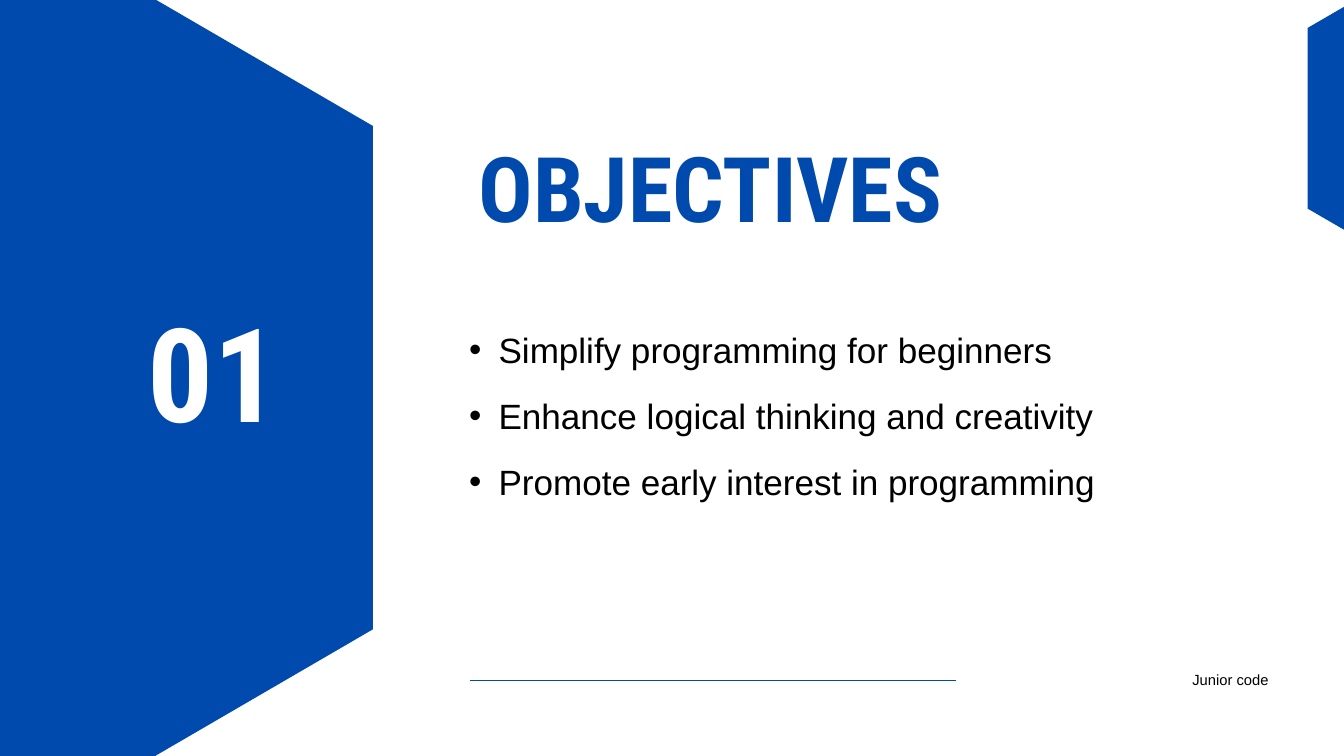
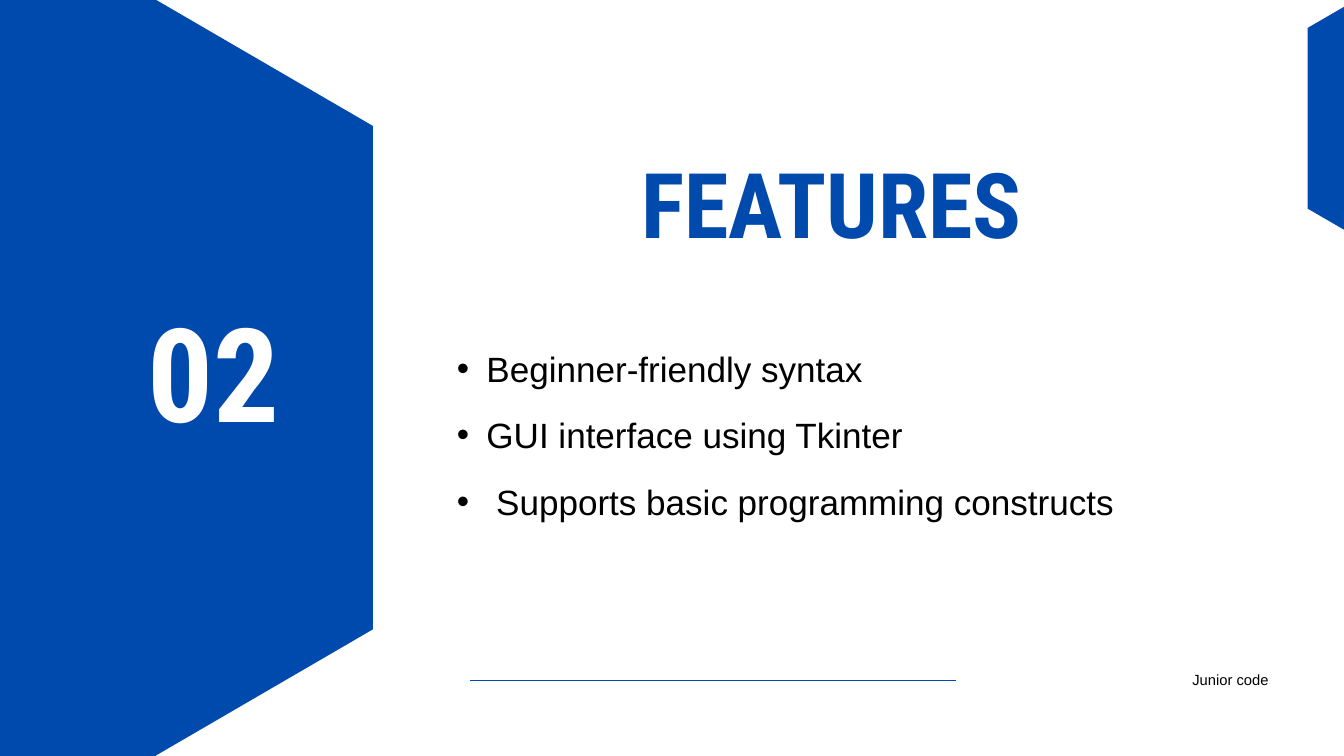
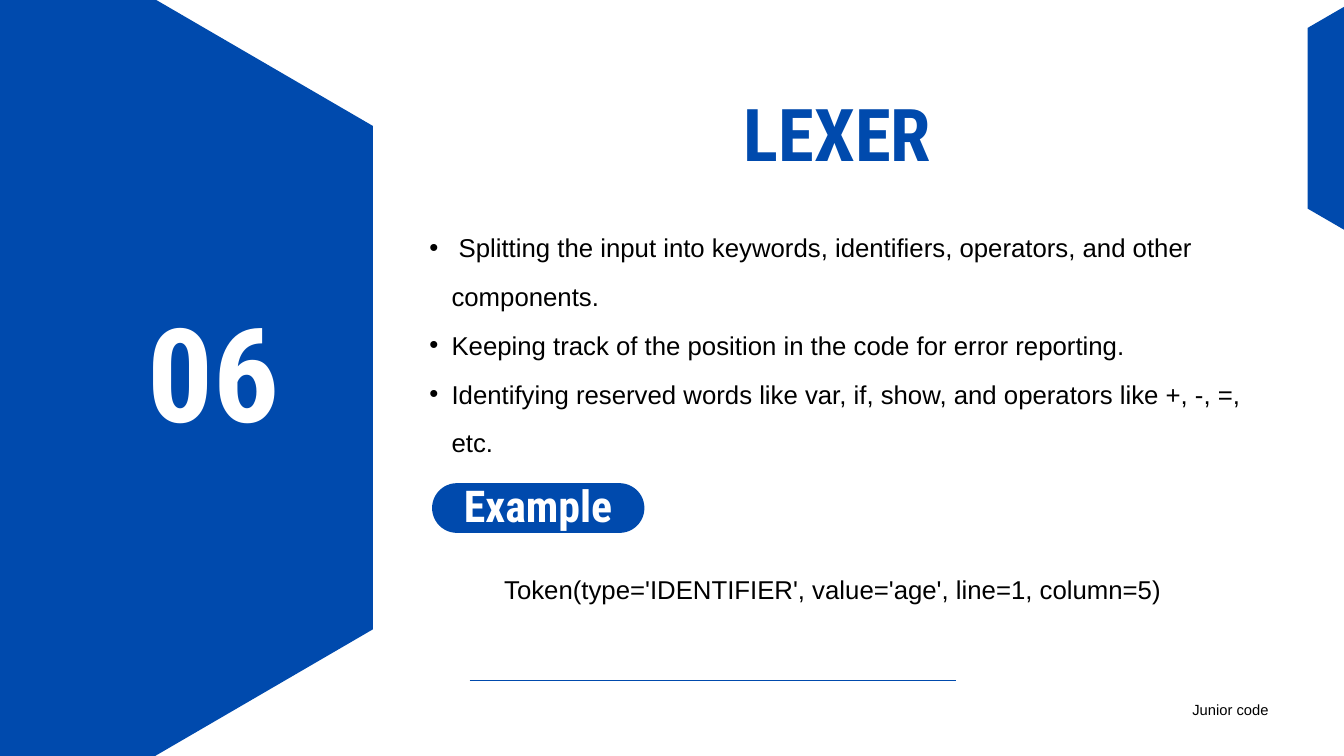
from lxml import etree
from pptx import Presentation
from pptx.dml.color import RGBColor
from pptx.enum.shapes import MSO_CONNECTOR, MSO_SHAPE
from pptx.enum.text import MSO_ANCHOR, MSO_AUTO_SIZE, PP_ALIGN
from pptx.oxml.ns import qn
from pptx.util import Inches, Pt

BLUE = RGBColor(0x00, 0x4A, 0xAD)
WHITE = RGBColor(0xFF, 0xFF, 0xFF)
BLACK = RGBColor(0x00, 0x00, 0x00)
HEADING_FONT = "Roboto Condensed"
BODY_FONT = "Arial"

# Centre x, centre y, half width, half height
HEXAGONS = [(-0.89, 5.62, 6.44, 7.49), (21.78, 1.76, 2.32, 2.69)]

SECTIONS = [
    dict(number="01", title="OBJECTIVES", title_box=(7.12, 2.23, 10.77, 1.41),
         title_size=97, title_leading=97, title_align=PP_ALIGN.LEFT,
         points=["Simplify programming for beginners",
                 "Enhance logical thinking and creativity",
                 "Promote early interest in programming"],
         points_box=(6.54, 4.52, 10.97, 2.86), size=37.6, leading=71.1,
         indent=0.44, footer_top=9.94),
    dict(number="02", title="FEATURES", title_box=(6.99, 2.47, 10.77, 1.42),
         title_size=97, title_leading=97, title_align=PP_ALIGN.CENTER,
         points=["Beginner-friendly syntax",
                 "GUI interface using Tkinter",
                 " Supports basic programming constructs"],
         points_box=(6.36, 4.81, 10.97, 2.86), size=37.6, leading=71.1,
         indent=0.44, footer_top=9.94),
    dict(number="06", title="LEXER", title_box=(6.06, 1.42, 12.81, 1.23),
         title_size=78, title_leading=86.6, title_align=PP_ALIGN.CENTER,
         points=[" Splitting the input into keywords, identifiers, operators, "
                 "and other components.",
                 "Keeping track of the position in the code for error reporting.",
                 "Identifying reserved words like var, if, show, and operators "
                 "like +, -, =, etc."],
         points_box=(6.06, 3.19, 12.66, 3.63), size=27.6, leading=52.2,
         indent=0.33, footer_top=10.39,
         example="Token(type='IDENTIFIER', value='age', line=1, column=5)"),
]


def write(shape, text, *, size, leading, font=BODY_FONT, color=BLACK,
          bold=False, align=PP_ALIGN.LEFT, indent=None):
    """Fill a shape with one paragraph per line; an indent adds bullets."""
    frame = shape.text_frame
    frame.word_wrap = True
    frame.auto_size = MSO_AUTO_SIZE.NONE
    frame.vertical_anchor = MSO_ANCHOR.TOP
    frame.margin_left = frame.margin_right = 0
    frame.margin_top = frame.margin_bottom = 0
    frame.text = text
    for paragraph in frame.paragraphs:
        paragraph.alignment = align
        paragraph.line_spacing = Pt(leading)
        for run in paragraph.runs:
            run.font.name = font
            run.font.size = Pt(size)
            run.font.bold = bold
            run.font.color.rgb = color
        if indent:
            properties = paragraph._p.get_or_add_pPr()
            properties.set("marL", str(Inches(2 * indent)))
            properties.set("indent", str(-Inches(indent)))
            etree.SubElement(properties, qn("a:buFont"), typeface="Arial")
            etree.SubElement(properties, qn("a:buChar"), char="•")


def paint(shape):
    """Give a shape the plain blue look."""
    shape.shadow.inherit = False
    shape.fill.solid()
    shape.fill.fore_color.rgb = BLUE
    shape.line.fill.background()


deck = Presentation()
deck.slide_width = Inches(20)
deck.slide_height = Inches(11.25)

for section in SECTIONS:
    slide = deck.slides.add_slide(deck.slide_layouts[5])
    shapes = slide.shapes

    # Hexagons cut off by the slide edges
    for cx, cy, half_width, half_height in HEXAGONS:
        corners = [(Inches(cx + dx * half_width), Inches(cy + dy * half_height))
                   for dx, dy in [(0, -1), (1, -0.5), (1, 0.5),
                                  (0, 1), (-1, 0.5), (-1, -0.5)]]
        builder = shapes.build_freeform(*corners[0])
        builder.add_line_segments(corners[1:], close=True)
        paint(builder.convert_to_shape())

    # Title and section number
    title = shapes.title
    title.left, title.top, title.width, title.height = map(Inches, section["title_box"])
    write(title, section["title"], size=section["title_size"],
          leading=section["title_leading"], font=HEADING_FONT, color=BLUE,
          bold=True, align=section["title_align"])
    number = shapes.add_textbox(Inches(2.19), Inches(4.73), Inches(2.36), Inches(2.06))
    write(number, section["number"], size=140, leading=140,
          font=HEADING_FONT, color=WHITE, bold=True)

    # Bullet points
    points = shapes.add_textbox(*map(Inches, section["points_box"]))
    write(points, "\n".join(section["points"]), size=section["size"],
          leading=section["leading"], indent=section["indent"])

    # Example label and code; the label text needs the pill's full height
    if "example" in section:
        pill = shapes.add_shape(MSO_SHAPE.ROUNDED_RECTANGLE, Inches(6.43),
                                Inches(7.19), Inches(3.16), Inches(0.74))
        pill.adjustments[0] = 0.5
        paint(pill)
        label = shapes.add_textbox(pill.left, Inches(7.18), pill.width, Inches(0.75))
        write(label, "Example", size=47, leading=52.2, font=HEADING_FONT,
              color=WHITE, bold=True, align=PP_ALIGN.CENTER)
        example = shapes.add_textbox(Inches(6.06), Inches(8.27), Inches(12.66), Inches(0.73))
        write(example, section["example"], size=section["size"],
              leading=section["leading"], align=PP_ALIGN.CENTER)

    # Footer and rule
    footer = shapes.add_textbox(Inches(13.63), Inches(section["footer_top"]),
                                Inches(5.25), Inches(0.31))
    write(footer, "Junior code", size=15.8, leading=22.1, align=PP_ALIGN.RIGHT)
    rule = shapes.add_connector(MSO_CONNECTOR.STRAIGHT, Inches(6.99), Inches(10.12),
                                Inches(14.23), Inches(10.12))
    rule.line.color.rgb = BLUE
    rule.line.width = Pt(0.75)
    etree.SubElement(rule._element.spPr, qn("a:effectLst"))

deck.save("out.pptx")
